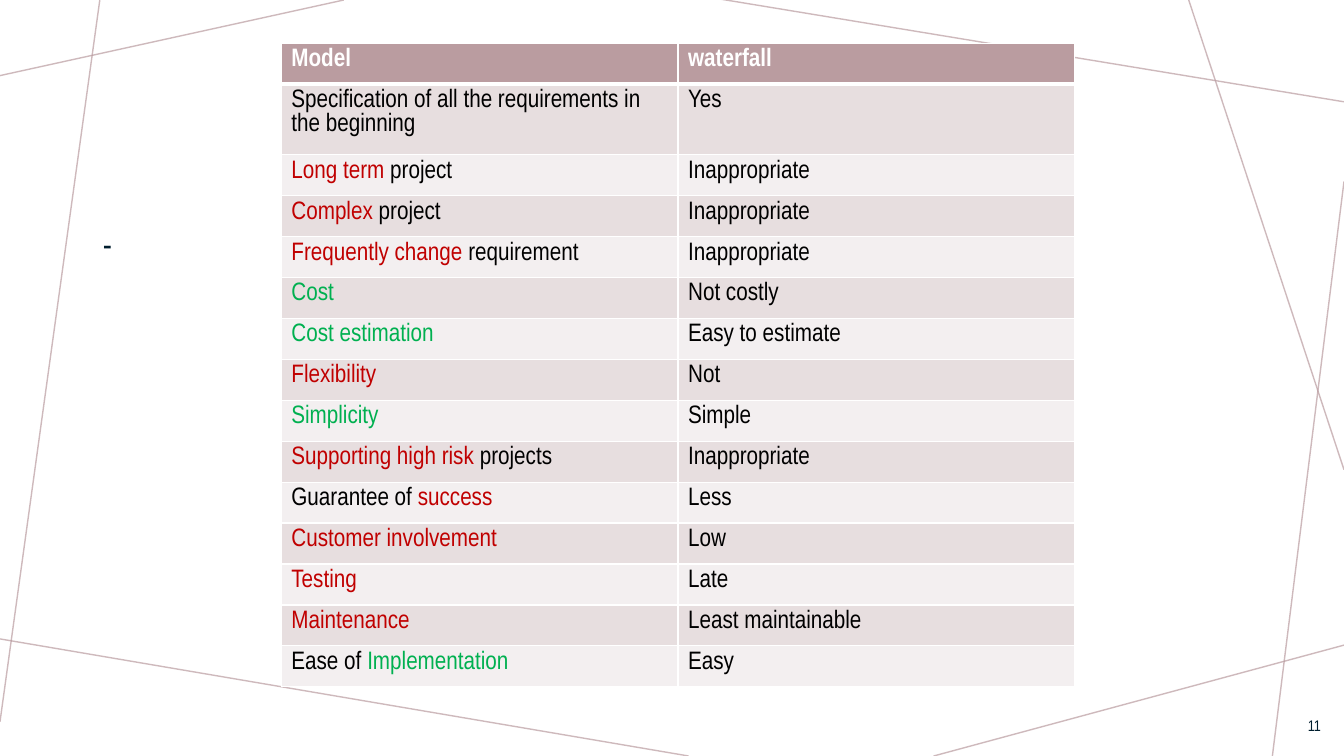
from pptx import Presentation
from pptx import util as u
from pptx.dml.color import RGBColor
from pptx.enum import shapes, text
from pptx.oxml.ns import qn
from lxml import etree

ROSE = RGBColor(0xBA, 0x9C, 0xA0)
DARK = RGBColor(0xE7, 0xDE, 0xDF)
PALE = RGBColor(0xF3, 0xEF, 0xF0)
NAVY = RGBColor(0x00, 0x1E, 0x2E)
WHITE = RGBColor(0xFF, 0xFF, 0xFF)
BLACK = RGBColor(0, 0, 0)
RED = RGBColor(0xC0, 0, 0)
GREEN = RGBColor(0, 0xB0, 0x50)
FONT = "Arial Narrow"

# Ends of the background lines: x1, y1, x2, y2
LINES = [
    (3.41, 0, 0, 0.75),
    (0.99, 0, 0, 7.16),
    (6.83, 7.5, -0.05, 6.33),
    (13.33, 6.4, 9.26, 7.5),
    (13.33, 1.8, 12.62, 7.5),
    (13.33, 4.66, 11.79, 0),
    (13.33, 1.01, 7.14, -0.01),
]

# Each row: coloured runs of the criterion, then the verdict
ROWS = [
    ([("Specification of all the requirements in the beginning", BLACK)], "Yes"),
    ([("Long term ", RED), ("project", BLACK)], "Inappropriate"),
    ([("Complex", RED), (" project", BLACK)], "Inappropriate"),
    ([("Frequently change ", RED), ("requirement", BLACK)], "Inappropriate"),
    ([("Cost", GREEN)], "Not costly"),
    ([("Cost estimation", GREEN)], "Easy to estimate"),
    ([("Flexibility", RED)], "Not"),
    ([("Simplicity", GREEN)], "Simple"),
    ([("Supporting high risk ", RED), ("projects", BLACK)], "Inappropriate"),
    ([("Guarantee of ", BLACK), ("success", RED)], "Less"),
    ([("Customer involvement", RED)], "Low"),
    ([("Testing", RED)], "Late"),
    ([("Maintenance", RED)], "Least maintainable"),
    ([("Ease of ", BLACK), ("Implementation", GREEN)], "Easy"),
]


def write(frame, runs, size=18, bold=False, align=text.PP_ALIGN.LEFT, before=0):
    frame.word_wrap = True
    para = frame.paragraphs[0]
    para.alignment = align
    para.space_before = u.Pt(before)
    for words, color in runs:
        run = para.add_run()
        run.text = words
        font = run.font
        font.name, font.size, font.bold = FONT, u.Pt(size), bold
        font.color.rgb = color
    return para


def add_lines(slide):
    for ends in LINES:
        line = slide.shapes.add_connector(
            shapes.MSO_CONNECTOR.STRAIGHT, *map(u.Inches, ends))
        line.line.color.rgb = ROSE
        line.line.width = u.Pt(1)
        props = line._element.spPr
        tint = props.find(".//" + qn("a:srgbClr"))
        etree.SubElement(tint, qn("a:alpha"), val="70000")
        etree.SubElement(props, qn("a:effectLst"))


def add_body(slide, left, top, width, height):
    body = slide.placeholders[1]
    body.left, body.top = u.Inches(left), u.Inches(top)
    body.width, body.height = u.Inches(width), u.Inches(height)
    para = write(body.text_frame, [("-", NAVY)], size=24, before=10)
    props = para._p.get_or_add_pPr()
    props.set("marL", "0")
    props.set("indent", "0")
    etree.SubElement(props, qn("a:buNone"))


def add_number(slide, left, top, width, height):
    box = slide.shapes.add_textbox(*map(u.Inches, (left, top, width, height)))
    box.text_frame.vertical_anchor = text.MSO_ANCHOR.MIDDLE
    write(box.text_frame, [("11", NAVY)], size=11, align=text.PP_ALIGN.RIGHT)


def set_edges(cell, **widths):
    props = cell._tc.get_or_add_tcPr()
    for side in "LRTB":
        edge = etree.SubElement(props, qn("a:ln" + side),
                                w=str(u.Pt(widths.get(side, 1))))
        fill = etree.SubElement(edge, qn("a:solidFill"))
        etree.SubElement(fill, qn("a:srgbClr"), val=str(WHITE))


def fill_cell(cell, runs, back, bold=False, **edges):
    set_edges(cell, **edges)
    cell.fill.solid()
    cell.fill.fore_color.rgb = back
    write(cell.text_frame, runs, bold=bold)


def add_grid(slide, left, top, width, height):
    count = len(ROWS) + 1
    grid = slide.shapes.add_table(
        count, 2, *map(u.Inches, (left, top, width, height))).table
    for row in grid.rows:
        row.height = u.Inches(height / count)
    # Header
    for col, words in enumerate(("Model", "waterfall")):
        fill_cell(grid.cell(0, col), [(words, WHITE)], ROSE, bold=True, B=3)
    # Banded rows
    for i, (runs, verdict) in enumerate(ROWS, 1):
        back = DARK if i % 2 else PALE
        edges = {"T": 3} if i == 1 else {}
        fill_cell(grid.cell(i, 0), runs, back, **edges)
        fill_cell(grid.cell(i, 1), [(verdict, BLACK)], back, **edges)


def main():
    deck = Presentation()
    deck.slide_width, deck.slide_height = u.Inches(13.33), u.Inches(7.5)
    slide = deck.slides.add_slide(deck.slide_layouts[1])
    title = slide.shapes.title._element
    title.getparent().remove(title)
    slide.background.fill.solid()
    slide.background.fill.fore_color.rgb = WHITE
    add_lines(slide)
    add_body(slide, 0.92, 2.16, 11.91, 4.28)
    add_number(slide, 12.69, 7, 0.51, 0.4)
    add_grid(slide, 2.79, 0.43, 7.87, 6.09)
    deck.save("out.pptx")


if __name__ == "__main__":
    main()
